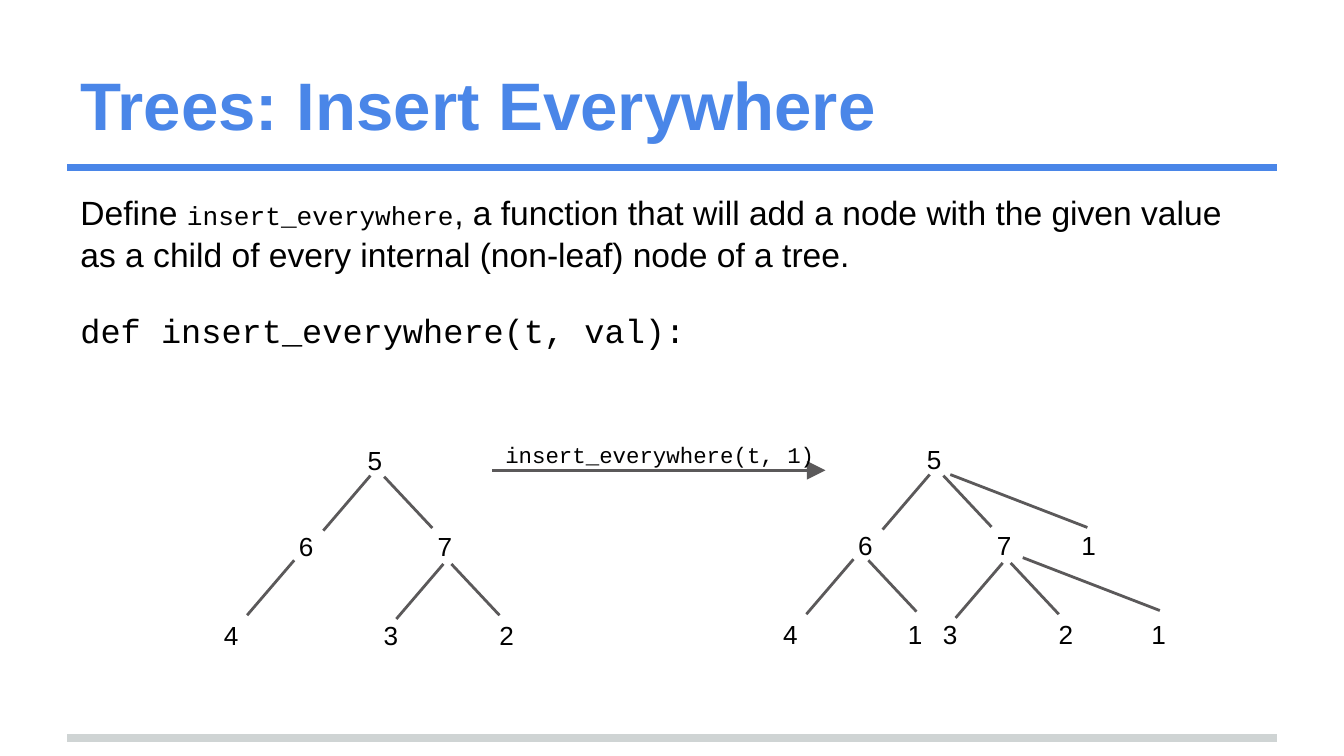
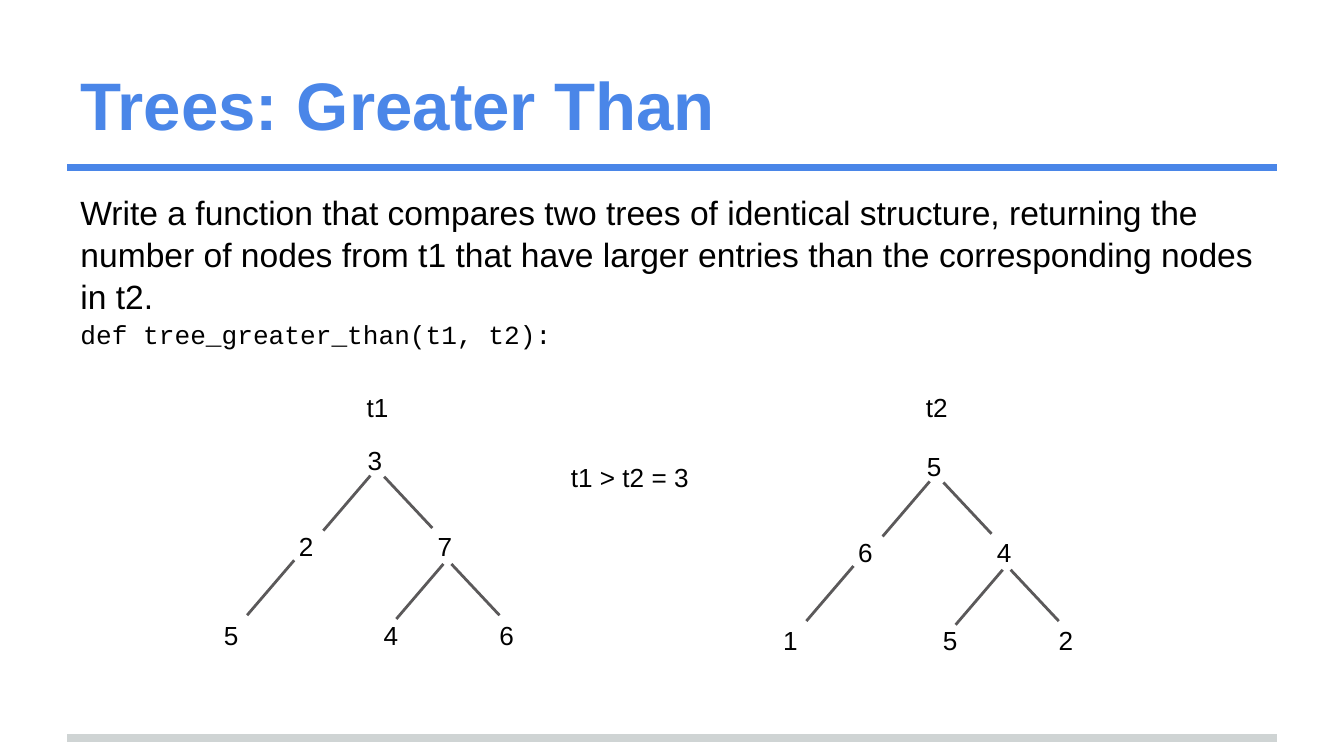
from lxml.etree import SubElement
from pptx import Presentation
from pptx.dml.color import RGBColor
from pptx.enum.shapes import MSO_CONNECTOR
from pptx.enum.text import MSO_ANCHOR, MSO_AUTO_SIZE, PP_ALIGN
from pptx.oxml.ns import qn
from pptx.util import Cm, Pt

COLORS = {"title": "4A86E8", "text": "000000", "edge": "5B595A", "footer": "CFD4D4"}
SANS, MONO = "Arial", "Courier New"
INSET = 0.25

# Tree geometry in cm, measured from the top left of the root's box
NODES = [(0, 0, 0.76, 0.91), (-1.3, 1.63, 0.91, 1.12), (1.32, 1.63, 0.76, 1.12),
         (-2.72, 3.3, 0.91, 0.91), (0.3, 3.3, 0.76, 0.91), (2.49, 3.3, 0.91, 0.91)]
INSERTED_NODES = [(-0.36, 3.3, 0.76, 0.91), (2.92, 1.63, 0.76, 0.91),
                  (4.24, 3.3, 0.76, 0.91)]
LEFT, RIGHT, FAR = (-0.89, 1.04), (0.91, 0.97), (2.59, 1.0)
EDGES = [(0.3, 0.84, LEFT), (-1.14, 2.44, LEFT), (1.68, 2.51, LEFT),
         (0.56, 0.86, RIGHT), (1.83, 2.51, RIGHT)]
INSERTED_EDGES = [(-0.86, 2.46, RIGHT), (0.69, 0.84, FAR), (2.06, 2.41, FAR)]

# Body paragraphs: (space before in points, runs of text, font, size)
# Trees: (root left, root top, node values; values after the sixth are inserted)
# Labels: (text, left, top, width, height, font, size)
SLIDES = [
    {
        "title": "Trees: Insert Everywhere",
        "body": [
            (0, [("Define ", SANS, 18), ("insert_everywhere", MONO, 14),
                 (", a function that will add a node with the given value as a child "
                  "of every internal (non-leaf) node of a tree.", SANS, 18)]),
            (18, [("def insert_everywhere(t, val):", MONO, 18)]),
        ],
        "trees": [(6.7, 8.15, "567432"), (17.27, 8.13, "567432111")],
        "labels": [("insert_everywhere(t, 1)", 9.3, 8.08, 8, 0.91, MONO, 12)],
        "arrows": [(9.3, 8.89, 15.6, 8.89)],
    },
    {
        "title": "Trees: Greater Than",
        "body": [
            (0, [("Write a function that compares two trees of identical structure, "
                  "returning the number of nodes from t1 that have larger entries than "
                  "the corresponding nodes in t2.", SANS, 18)]),
            (0, [("def tree_greater_than(t1, t2):", MONO, 14)]),
        ],
        "trees": [(6.7, 8.15, "327546"), (17.27, 8.26, "564152")],
        "labels": [("t1", 6.68, 7.14, 1.4, 0.64, SANS, 14),
                   ("t2", 17.25, 7.14, 1.4, 0.64, SANS, 14),
                   ("t1 > t2 = 3", 10.54, 8.48, 3.28, 1.6, SANS, 14)],
        "arrows": [],
    },
]


def place_text(shape, left, top, width, height, anchor=MSO_ANCHOR.TOP):
    """Position a text shape and return its text frame, ready to fill."""
    shape.left, shape.top, shape.width, shape.height = map(Cm, (left, top, width, height))
    frame = shape.text_frame
    frame.auto_size = MSO_AUTO_SIZE.NONE
    frame.word_wrap = True
    frame.vertical_anchor = anchor
    frame.margin_left = frame.margin_right = Cm(INSET)
    frame.margin_top = frame.margin_bottom = Cm(INSET)
    return frame


def add_line(slide, start_x, start_y, end_x, end_y, color, width):
    line = slide.shapes.add_connector(
        MSO_CONNECTOR.STRAIGHT, Cm(start_x), Cm(start_y), Cm(end_x), Cm(end_y))
    line.line.color.rgb = RGBColor.from_string(COLORS[color])
    line.line.width = Pt(width)
    SubElement(line._element.spPr, qn("a:effectLst"))
    return line


presentation = Presentation()
presentation.slide_width, presentation.slide_height = Cm(25.4), Cm(14.29)

for content in SLIDES:
    slide = presentation.slides.add_slide(presentation.slide_layouts[1])

    # Footer and title rules
    add_line(slide, 1.27, 13.95, 24.13, 13.95, "footer", 4)
    add_line(slide, 1.27, 3.17, 24.13, 3.17, "title", 4)

    # Title
    frame = place_text(slide.shapes.title, 1.27, 0.58, 22.86, 2.39, MSO_ANCHOR.BOTTOM)
    frame.text = content["title"]
    paragraph = frame.paragraphs[0]
    paragraph.alignment = PP_ALIGN.LEFT
    paragraph.font.name, paragraph.font.size, paragraph.font.bold = SANS, Pt(36), True
    paragraph.font.color.rgb = RGBColor.from_string(COLORS["title"])

    # Body
    frame = place_text(slide.placeholders[1], 1.27, 3.33, 22.86, 10.34)
    for index, (space, runs) in enumerate(content["body"]):
        paragraph = frame.add_paragraph() if index else frame.paragraphs[0]
        paragraph.space_before = Pt(space)
        paragraph.line_spacing = 1.05
        properties = paragraph._p.get_or_add_pPr()
        properties.set("marL", "0")
        properties.set("indent", "0")
        SubElement(properties, qn("a:buNone"))
        paragraph.font.color.rgb = RGBColor.from_string(COLORS["text"])
        for text, font, size in runs:
            run = paragraph.add_run()
            run.text = text
            run.font.name, run.font.size = font, Pt(size)

    # Trees: edges now, node values together with the labels
    labels = list(content["labels"])
    for root_x, root_y, values in content["trees"]:
        grown = len(values) > len(NODES)
        for x, y, (step_x, step_y) in EDGES + (INSERTED_EDGES if grown else []):
            add_line(slide, root_x + x, root_y + y,
                     root_x + x + step_x, root_y + y + step_y, "edge", 1.5)
        for value, (x, y, width, height) in zip(values, NODES + INSERTED_NODES):
            labels.append((value, root_x + x, root_y + y, width, height, SANS, 14))

    # Arrows
    for ends in content["arrows"]:
        arrow = add_line(slide, *ends, "edge", 1.5)
        SubElement(arrow.line._get_or_add_ln(), qn("a:tailEnd"),
                   type="triangle", w="lg", len="lg")

    # Labels and node values
    for text, left, top, width, height, font, size in labels:
        frame = place_text(slide.shapes.add_textbox(0, 0, 0, 0), left, top, width, height)
        frame.text = text
        paragraph = frame.paragraphs[0]
        paragraph.font.name, paragraph.font.size = font, Pt(size)
        paragraph.font.color.rgb = RGBColor.from_string(COLORS["text"])

presentation.save("out.pptx")
